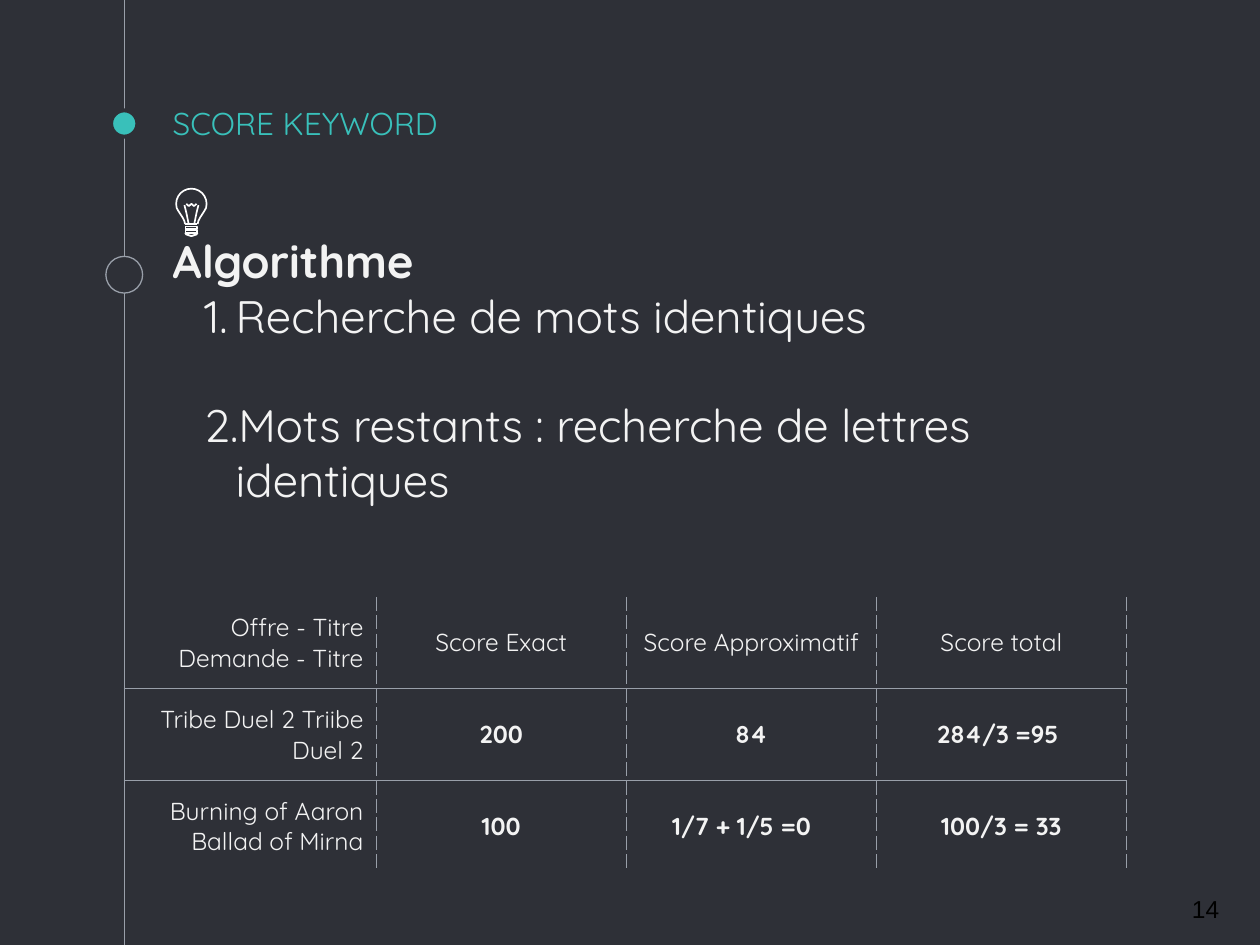
import dataclasses
import math
import typing

import lxml.etree
import pptx
import pptx.dml.color
import pptx.enum.shapes
import pptx.enum.text
import pptx.oxml
import pptx.oxml.ns
import pptx.util

Pt = pptx.util.Pt
Align = pptx.enum.text.PP_ALIGN
Anchor = pptx.enum.text.MSO_ANCHOR
Point = tuple[float, float]


@dataclasses.dataclass(frozen=True)
class Theme:
    background: str = "2E3037"
    accent: str = "39C0BA"
    line: str = "999FA9"
    text: str = "F3F3F3"
    icon: str = "FFFFFF"
    page: str = "000000"
    font: str = "Quicksand"
    page_font: str = "Arial"
    title_size: float = 18
    body_size: float = 26
    small_size: float = 14
    line_width: float = 0.75
    icon_width: float = 0.96
    inset: float = 7.2


@dataclasses.dataclass(frozen=True)
class Marker:
    center_y: float
    diameter: float
    fill: str
    line: str
    line_width: float


@dataclasses.dataclass(frozen=True)
class Stroke:
    points: list[Point]
    closed: bool = False


@dataclasses.dataclass(frozen=True)
class CellText:
    lines: tuple[str, ...]
    bold: bool = False
    right_gap: float = 0


THEME = Theme()
SPINE_X = 71
MARKERS = [
    Marker(70.6, 15, THEME.accent, THEME.background, 2.25),
    Marker(157, 21, THEME.background, THEME.line, THEME.line_width),
]
STEPS = ["Recherche de mots identiques", "Mots restants : recherche de lettres identiques"]
STEP_LINE = 31.2
TABLE_TOP = 341
ROW_HEIGHT = 52.5
COLUMN_WIDTHS = [144, 142.9, 142.9, 142.9]
ROWS = [
    [CellText(("Offre - Titre", "Demande - Titre")), CellText(("Score Exact",)),
     CellText(("Score Approximatif",)), CellText(("Score total",))],
    [CellText(("Tribe Duel 2 Triibe Duel 2",)), CellText(("200",), True),
     CellText(("84",), True), CellText(("284/3 =95",), True, 4)],
    [CellText(("Burning of Aaron", "Ballad of Mirna")), CellText(("100",), True),
     CellText(("1/7 + 1/5 =0",), True, 11), CellText(("100/3 = 33",), True)],
]


def color(value: str) -> pptx.dml.color.RGBColor:
    return pptx.dml.color.RGBColor.from_string(value)


def add_run(paragraph: typing.Any, text: str, size: float, fill: str = THEME.text,
            bold: bool = False, font: str = THEME.font) -> None:
    run = paragraph.add_run()
    run.text = text
    run.font.name = font
    run.font.size = Pt(size)
    run.font.bold = bold
    run.font.color.rgb = color(fill)


def place_text(shape: typing.Any, left: float, top: float, width: float, height: float,
               anchor: Anchor) -> typing.Any:
    shape.left, shape.top, shape.width, shape.height = map(Pt, (left, top, width, height))
    frame = shape.text_frame
    frame.word_wrap = True
    frame.auto_size = pptx.enum.text.MSO_AUTO_SIZE.NONE
    frame.vertical_anchor = anchor
    frame.margin_left = frame.margin_right = Pt(THEME.inset)
    frame.margin_top = frame.margin_bottom = Pt(THEME.inset)
    frame.paragraphs[0].alignment = Align.LEFT
    return frame


def add_line(shapes: typing.Any, start: Point, end: Point, fill: str, width: float) -> None:
    connector = shapes.add_connector(
        pptx.enum.shapes.MSO_CONNECTOR.STRAIGHT, *map(Pt, (*start, *end)))
    connector.line.color.rgb = color(fill)
    connector.line.width = Pt(width)
    lxml.etree.SubElement(connector._element.spPr, pptx.oxml.ns.qn("a:effectLst"))


def add_marker(shapes: typing.Any, marker: Marker) -> None:
    radius = marker.diameter / 2
    shape = shapes.add_shape(
        pptx.enum.shapes.MSO_SHAPE.OVAL, Pt(SPINE_X - radius), Pt(marker.center_y - radius),
        Pt(marker.diameter), Pt(marker.diameter))
    shape.shadow.inherit = False
    shape.fill.solid()
    shape.fill.fore_color.rgb = color(marker.fill)
    shape.line.color.rgb = color(marker.line)
    shape.line.width = Pt(marker.line_width)


def mirror(points: list[Point]) -> list[Point]:
    return [(-x, y) for x, y in reversed(points)]


def add_bulb(shapes: typing.Any, center_x: float, top: float) -> None:
    radius = 8.7
    angles = [math.radians(angle) for angle in range(15, -90, -15)]
    right_side = [(3.6, 20.2), (4, 18.4), (5, 16.5), (6.5, 14.2), (7.7, 12.3)]
    right_side += [(radius * math.cos(angle), radius + radius * math.sin(angle))
                   for angle in angles]
    filament = [(4, 9.4), (2.9, 13.7), (1.6, 20.2)]
    cup = [(3.4, 25.5), (2.9, 26.2), (0.5, 27)]
    strokes = [
        Stroke(right_side + [(0, 0)] + mirror(right_side)),
        Stroke(filament),
        Stroke(mirror(filament)),
        Stroke([(-2.9, 8.7), (-1.5, 10), (0, 8.7), (1.5, 10), (2.9, 8.7)]),
        Stroke(cup + mirror(cup), True),
    ]
    strokes += [Stroke([(-3.4, y), (3.4, y), (3.4, y + 1.5), (-3.4, y + 1.5)], True)
                for y in (21.6, 23.7)]
    group = shapes.add_group_shape()
    for stroke in strokes:
        points = [(Pt(center_x + x), Pt(top + y)) for x, y in stroke.points]
        builder = group.shapes.build_freeform(*points[0])
        builder.add_line_segments(points[1:], close=stroke.closed)
        shape = builder.convert_to_shape()
        shape.shadow.inherit = False
        shape.fill.background()
        shape.line.color.rgb = color(THEME.icon)
        shape.line.width = Pt(THEME.icon_width)
    add_line(group.shapes, (center_x - 3.4, top + 20.2), (center_x + 3.4, top + 20.2),
             THEME.icon, THEME.icon_width)


def number_paragraph(paragraph: typing.Any) -> None:
    properties = paragraph._p.get_or_add_pPr()
    properties.set("marL", str(Pt(36)))
    properties.set("indent", str(Pt(-18)))
    namespace = pptx.oxml.ns.nsdecls("a")
    for xml in (f'<a:buClr {namespace}><a:srgbClr val="{THEME.text}"/></a:buClr>',
                f'<a:buFont {namespace} typeface="{THEME.font}"/>',
                f'<a:buAutoNum {namespace} type="arabicPeriod"/>'):
        properties.append(pptx.oxml.parse_xml(xml))


def fill_body(frame: typing.Any) -> None:
    heading = frame.paragraphs[0]
    heading.space_before = Pt(0)
    properties = heading._p.get_or_add_pPr()
    properties.set("marL", "0")
    properties.set("indent", "0")
    lxml.etree.SubElement(properties, pptx.oxml.ns.qn("a:buNone"))
    add_run(heading, "Algorithme", THEME.body_size, bold=True)
    for index, step in enumerate(STEPS):
        paragraph = frame.add_paragraph()
        paragraph.alignment = Align.LEFT
        paragraph.line_spacing = Pt(STEP_LINE)
        paragraph.space_before = Pt(STEP_LINE * index)
        number_paragraph(paragraph)
        add_run(paragraph, step, THEME.body_size)


def set_borders(cell: typing.Any, has_top: bool, has_bottom: bool) -> None:
    borders = [("L", "dash", True), ("R", "dash", True),
               ("T", "solid", has_top), ("B", "solid", has_bottom)]
    properties = cell._tc.get_or_add_tcPr()
    for index, (side, dash, visible) in enumerate(borders):
        paint = (f'<a:solidFill><a:srgbClr val="{THEME.line}"/></a:solidFill>'
                 f'<a:prstDash val="{dash}"/>') if visible else "<a:noFill/>"
        properties.insert(index, pptx.oxml.parse_xml(
            f'<a:ln{side} {pptx.oxml.ns.nsdecls("a")} w="{Pt(THEME.line_width)}">'
            f'{paint}</a:ln{side}>'))


def add_scores(shapes: typing.Any) -> None:
    table = shapes.add_table(
        len(ROWS), len(COLUMN_WIDTHS), Pt(SPINE_X), Pt(TABLE_TOP),
        Pt(sum(COLUMN_WIDTHS)), Pt(ROW_HEIGHT * len(ROWS))).table
    table.first_row = table.horz_banding = False
    for column, width in zip(table.columns, COLUMN_WIDTHS):
        column.width = Pt(width)
    for row_index, row in enumerate(ROWS):
        table.rows[row_index].height = Pt(ROW_HEIGHT)
        for column_index, content in enumerate(row):
            cell = table.cell(row_index, column_index)
            cell.fill.background()
            set_borders(cell, row_index > 0, row_index < len(ROWS) - 1)
            cell.vertical_anchor = Anchor.MIDDLE
            cell.margin_left = cell.margin_top = cell.margin_bottom = Pt(THEME.inset)
            cell.margin_right = Pt(THEME.inset + content.right_gap)
            frame = cell.text_frame
            for line_index, line in enumerate(content.lines):
                paragraph = frame.add_paragraph() if line_index else frame.paragraphs[0]
                paragraph.alignment = Align.CENTER if column_index else Align.RIGHT
                add_run(paragraph, line, THEME.small_size, bold=content.bold)


def main() -> None:
    presentation = pptx.Presentation()
    presentation.slide_width, presentation.slide_height = Pt(720), Pt(540)
    slide = presentation.slides.add_slide(presentation.slide_layouts[1])
    slide.background.fill.solid()
    slide.background.fill.fore_color.rgb = color(THEME.background)
    shapes = slide.shapes
    add_line(shapes, (SPINE_X, 0), (SPINE_X, 540), THEME.line, THEME.line_width)
    for marker in MARKERS:
        add_marker(shapes, marker)
    fill_body(place_text(slide.placeholders[1], 91.5, 126, 596, 236, Anchor.TOP))
    title = place_text(shapes.title, 91.5, 52.5, 540, 36, Anchor.BOTTOM)
    add_run(title.paragraphs[0], "SCORE KEYWORD", THEME.title_size, THEME.accent)
    page = place_text(shapes.add_textbox(0, 0, 0, 0), 674, 499, 43, 41, Anchor.MIDDLE)
    add_run(page.paragraphs[0], "14", THEME.small_size, THEME.page, font=THEME.page_font)
    add_bulb(shapes, 109.4, 107.8)
    add_scores(shapes)
    presentation.save("out.pptx")


if __name__ == "__main__":
    main()
